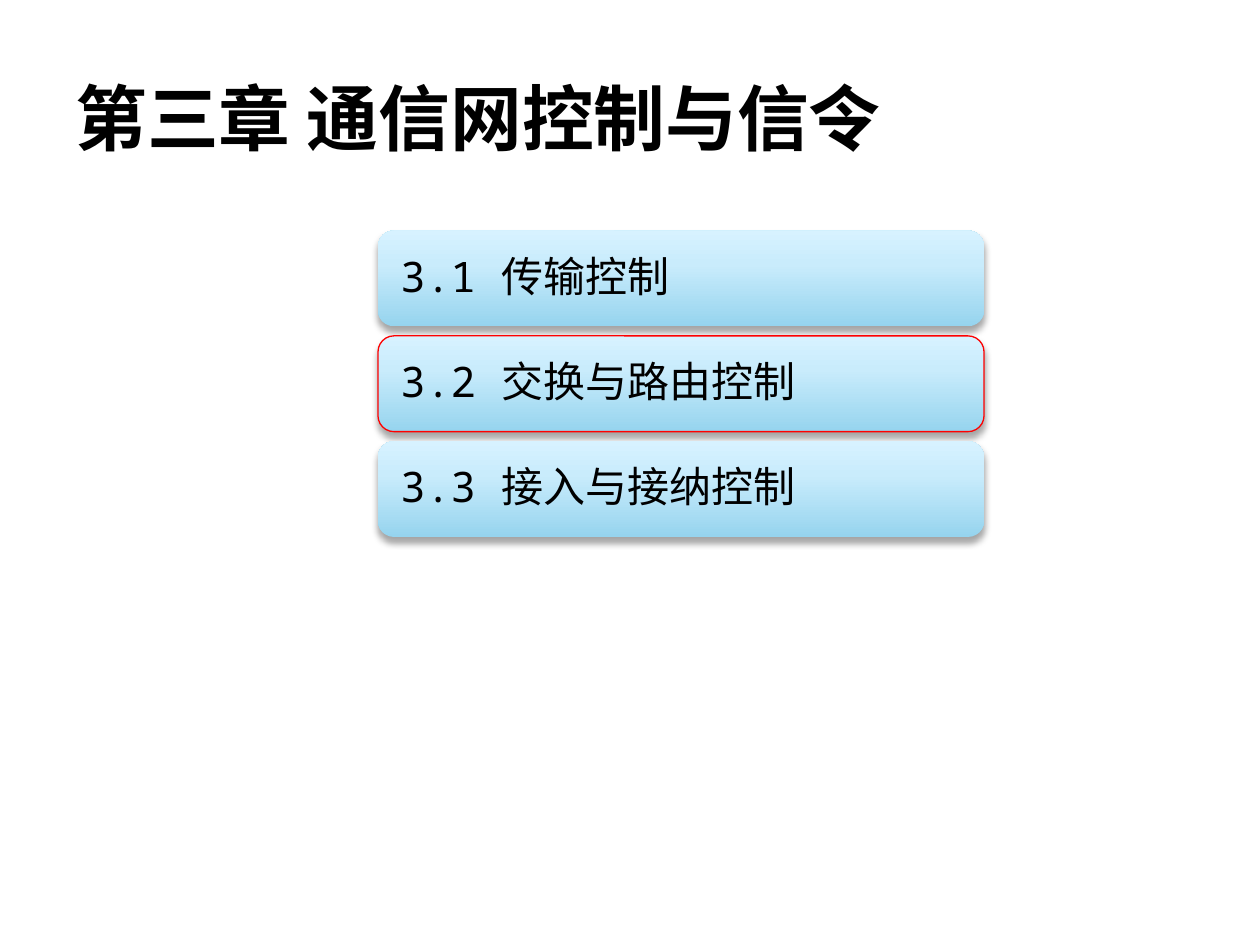
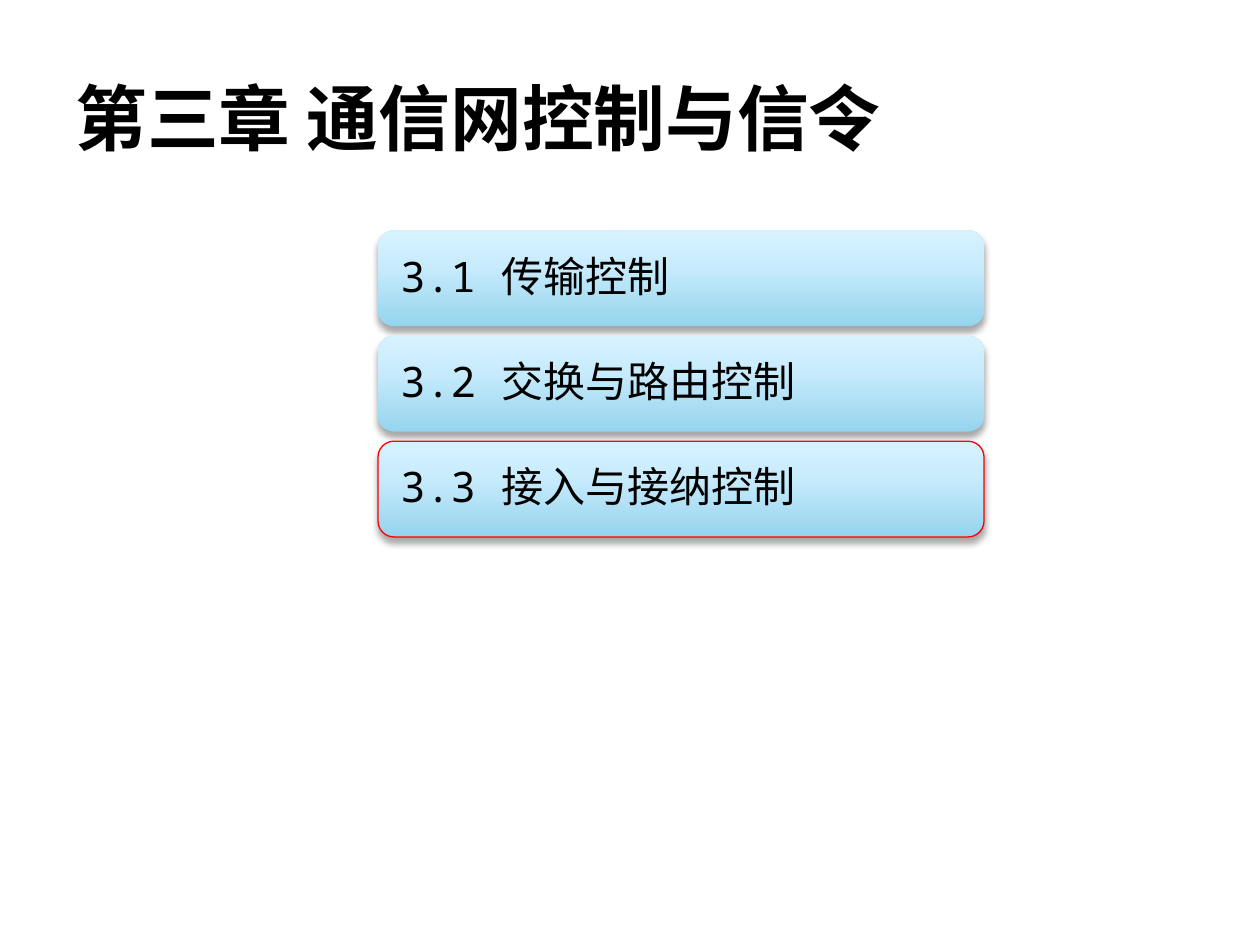
from lxml.etree import SubElement
from pptx import Presentation
from pptx.dml.color import RGBColor
from pptx.enum.shapes import MSO_SHAPE
from pptx.enum.text import MSO_ANCHOR, PP_ALIGN
from pptx.oxml import parse_xml
from pptx.oxml.ns import nsdecls, qn
from pptx.util import Inches, Pt

# Content: one slide for each highlighted section
TITLE = "第三章 通信网控制与信令"
SECTIONS = ["3.1 传输控制", "3.2 交换与路由控制", "3.3 接入与接纳控制"]
HIGHLIGHTED = ["3.2 交换与路由控制", "3.3 接入与接纳控制"]

# Shared style
FONT = "Noto Sans Mono"
COLORS = {"page": "FFFFFF", "text": "000000", "highlight": "FF0000",
          "low": "96D4EE", "middle": "C9ECFC", "high": "D7F2FF", "shadow": "000000"}
GRADIENT = [(0, "low"), (65, "middle"), (100, "high")]

# Layout in inches
WIDTH, HEIGHT = 10, 7.5
TITLE_BOX = (0.05 * WIDTH, 0.04 * HEIGHT, 0.9 * WIDTH, 1.25)
BAR_LEFT, BAR_TOP, BAR_WIDTH, BAR_HEIGHT = 3, 1.83, 4.81, 0.76
BAR_PITCH = 1.1 * BAR_HEIGHT


def color(name):
    return RGBColor.from_string(COLORS[name])


def write(frame, text, size, bold=False):
    frame.word_wrap = True
    frame.vertical_anchor = MSO_ANCHOR.MIDDLE
    para = frame.paragraphs[0]
    para.alignment = PP_ALIGN.LEFT
    span = para.add_run()
    span.text = text
    span.font._element.set("lang", "zh-CN")
    font = para.font
    font.name, font.size, font.bold = FONT, Pt(size), bold
    font.color.rgb = color("text")
    return para


def add_gradient_and_shadow(shape):
    stops = "".join(f'<a:gs pos="{share * 1000}"><a:srgbClr val="{COLORS[name]}"/></a:gs>'
                    for share, name in GRADIENT)
    gradient = parse_xml(f'<a:gradFill {nsdecls("a")} rotWithShape="1"><a:gsLst>{stops}</a:gsLst>'
                         '<a:lin ang="16200000" scaled="0"/></a:gradFill>')
    properties = shape._element.spPr
    properties.find(qn("a:prstGeom")).addnext(gradient)
    shape.shadow.inherit = False
    shadow = SubElement(properties.find(qn("a:effectLst")), qn("a:outerShdw"),
                        blurRad=str(Pt(4)), dist=str(Pt(3)), dir="5400000", rotWithShape="0")
    tint = SubElement(shadow, qn("a:srgbClr"), val=COLORS["shadow"])
    SubElement(tint, qn("a:alpha"), val="35000")


def add_title(page):
    box = page.shapes.add_textbox(*map(Inches, TITLE_BOX))
    write(box.text_frame, TITLE, 41, bold=True)


def add_section_bar(page, row, section, highlighted):
    place = (BAR_LEFT, BAR_TOP + row * BAR_PITCH, BAR_WIDTH, BAR_HEIGHT)
    bar = page.shapes.add_shape(MSO_SHAPE.ROUNDED_RECTANGLE, *map(Inches, place))
    add_gradient_and_shadow(bar)
    if highlighted:
        bar.line.color.rgb = color("highlight")
        bar.line.width = Pt(0.75)
    else:
        bar.line.fill.background()
    frame = bar.text_frame
    frame.margin_left = frame.margin_right = Inches(0.14)
    write(frame, section, 24).line_spacing = 0.9


def main():
    deck = Presentation()
    deck.slide_width, deck.slide_height = Inches(WIDTH), Inches(HEIGHT)
    for current in HIGHLIGHTED:
        page = deck.slides.add_slide(deck.slide_layouts[6])
        page.background.fill.solid()
        page.background.fill.fore_color.rgb = color("page")
        for row, section in enumerate(SECTIONS):
            add_section_bar(page, row, section, section == current)
        add_title(page)
    deck.save("out.pptx")


if __name__ == "__main__":
    main()
